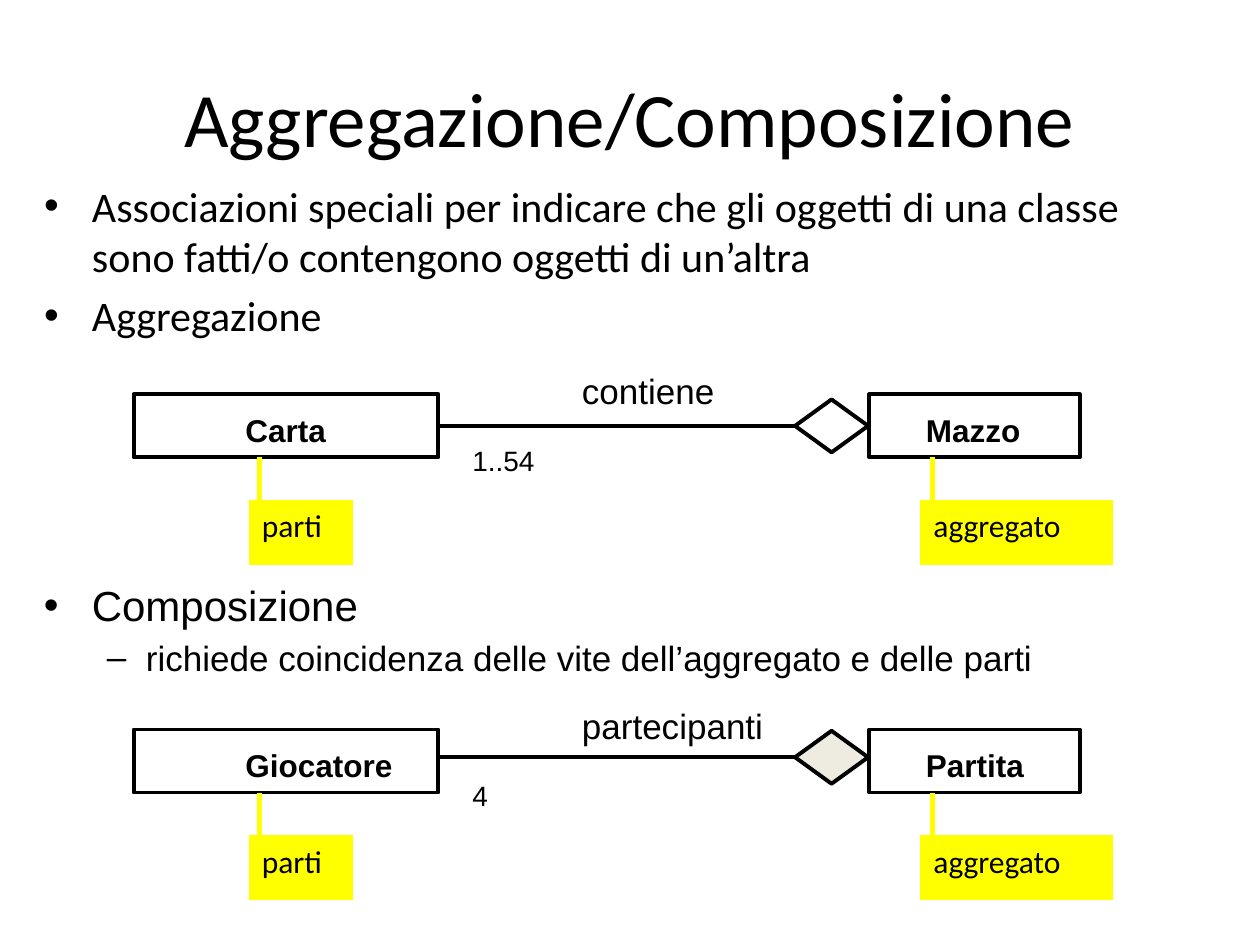
"""Build a slide on UML aggregation and composition with two class diagrams."""
from lxml import etree
from pptx import Presentation
from pptx.dml.color import RGBColor
from pptx.enum import shapes, text
from pptx.oxml.ns import qn
from pptx.util import Inches, Pt

BLACK, YELLOW, BEIGE = "000000", "FFFF00", "EEECE1"


def color(value):
    return RGBColor.from_string(value)


def add_run(para, words, font, size, bold=False):
    span = para.add_run()
    span.text = words
    span.font.name, span.font.size, span.font.bold = font, Pt(size), bold
    span.font.color.rgb = color(BLACK)


deck = Presentation()
deck.slide_width, deck.slide_height = Inches(10), Inches(7.5)
page = deck.slides.add_slide(deck.slide_layouts[1])

title = page.shapes.title
title.left, title.top, title.width, title.height = map(Inches, (0.5, 0.3, 9, 1.25))
title.text_frame.vertical_anchor = text.MSO_ANCHOR.MIDDLE
title.text_frame.paragraphs[0].alignment = text.PP_ALIGN.CENTER
add_run(title.text_frame.paragraphs[0], "Aggregazione/Composizione", "Calibri", 44)

body = page.placeholders[1]
body.left, body.top, body.width, body.height = map(Inches, (0.25, 1.38, 9.42, 1.42))
second_list = page.shapes.add_textbox(*map(Inches, (0.25, 4.55, 9.42, 1.42)))

lists = [
    (body, "Calibri", [
        (0, "Associazioni speciali per indicare che gli oggetti di una classe "
            "sono fatti/o contengono oggetti di un’altra"),
        (0, "Aggregazione"),
    ]),
    (second_list, "Arial", [
        (0, "Composizione"),
        (1, "richiede coincidenza delle vite dell’aggregato e delle parti"),
    ]),
]
levels = [("•", 0.38, -0.38, 24), ("–", 0.81, -0.31, 20)]
for box, font, items in lists:
    frame = box.text_frame
    frame.word_wrap = True
    frame.auto_size = text.MSO_AUTO_SIZE.NONE
    for index, (level, words) in enumerate(items):
        bullet, margin, indent, size = levels[level]
        para = frame.add_paragraph() if index else frame.paragraphs[0]
        para.level = level
        para.space_before = Pt(size * 0.2 if index else 0)
        properties = para._p.get_or_add_pPr()
        properties.set("marL", str(Inches(margin)))
        properties.set("indent", str(Inches(indent)))
        etree.SubElement(properties, qn("a:buFont"), typeface="Arial")
        etree.SubElement(properties, qn("a:buChar"), char=bullet)
        add_run(para, words, font, size)

diagrams = [
    (3.13, 0.25, "Carta", 0.84, "Mazzo", 0.95, "contiene", 1.25, "1..54", None),
    (5.79, 0.22, "Giocatore", 1.37, "Partita", 0.98, "partecipanti", 1.65, "4", BEIGE),
]
for (top, axis, part, part_width, whole, whole_width,
     relation, relation_width, count, diamond_fill) in diagrams:
    outlines = []
    for kind, left, offset, width, height, fill in [
        (shapes.MSO_SHAPE.RECTANGLE, 1.06, 0, 2.42, 0.5, None),
        (shapes.MSO_SHAPE.RECTANGLE, 6.9, 0, 1.67, 0.5, None),
        (shapes.MSO_SHAPE.FLOWCHART_DECISION, 6.31, axis - 0.21, 0.58, 0.42, diamond_fill),
    ]:
        shape = page.shapes.add_shape(
            kind, *map(Inches, (left, top + offset, width, height)))
        shape.shadow.inherit = False
        if fill:
            shape.fill.solid()
            shape.fill.fore_color.rgb = color(fill)
        else:
            shape.fill.background()
        shape.line.color.rgb, shape.line.width = color(BLACK), Pt(2.25)
        outlines.append(shape)
    part_box, whole_box, diamond = outlines

    for words, left, offset, width, height, size, bold in [
        (part, 1.85, 0.08, part_width, 0.4, 18, True),
        (whole, 7.25, 0.08, whole_width, 0.4, 18, True),
        (relation, 4.52, -0.25, relation_width, 0.43, 20, False),
        (count, 3.65, 0.34, 1.25, 0.37, 16, False),
    ]:
        label = page.shapes.add_textbox(*map(Inches, (left, top + offset, width, height)))
        label.text_frame.word_wrap = not bold
        add_run(label.text_frame.paragraphs[0], words, "Arial", size, bold)

    for words, left, width in [("aggregato", 7.31, 1.52), ("parti", 1.98, 0.82)]:
        note = page.shapes.add_shape(
            shapes.MSO_SHAPE.RECTANGLE, *map(Inches, (left, top + 0.84, width, 0.51)))
        note.shadow.inherit = False
        note.fill.solid()
        note.fill.fore_color.rgb = note.line.color.rgb = color(YELLOW)
        note.line.width = Pt(0.75)
        note.text_frame.word_wrap = True
        note.text_frame.vertical_anchor = text.MSO_ANCHOR.TOP
        note.text_frame.paragraphs[0].alignment = text.PP_ALIGN.LEFT
        add_run(note.text_frame.paragraphs[0], words, "Calibri", 18)

    for start_x, start_y, end_x, end_y, stroke, weight in [
        (3.48, axis, 6.31, axis, BLACK, 2.25),
        (7.4, 0.5, 7.4, 1.09, YELLOW, 3),
        (2.06, 0.5, 2.06, 1.09, YELLOW, 3),
    ]:
        line = page.shapes.add_connector(
            shapes.MSO_CONNECTOR.STRAIGHT,
            *map(Inches, (start_x, top + start_y, end_x, top + end_y)))
        line.line.color.rgb, line.line.width = color(stroke), Pt(weight)
        etree.SubElement(line._element.spPr, qn("a:effectLst"))
        if stroke == BLACK:
            line.end_connect(diamond, 1)
            if axis == 0.25:
                line.begin_connect(part_box, 3)

deck.save("out.pptx")
